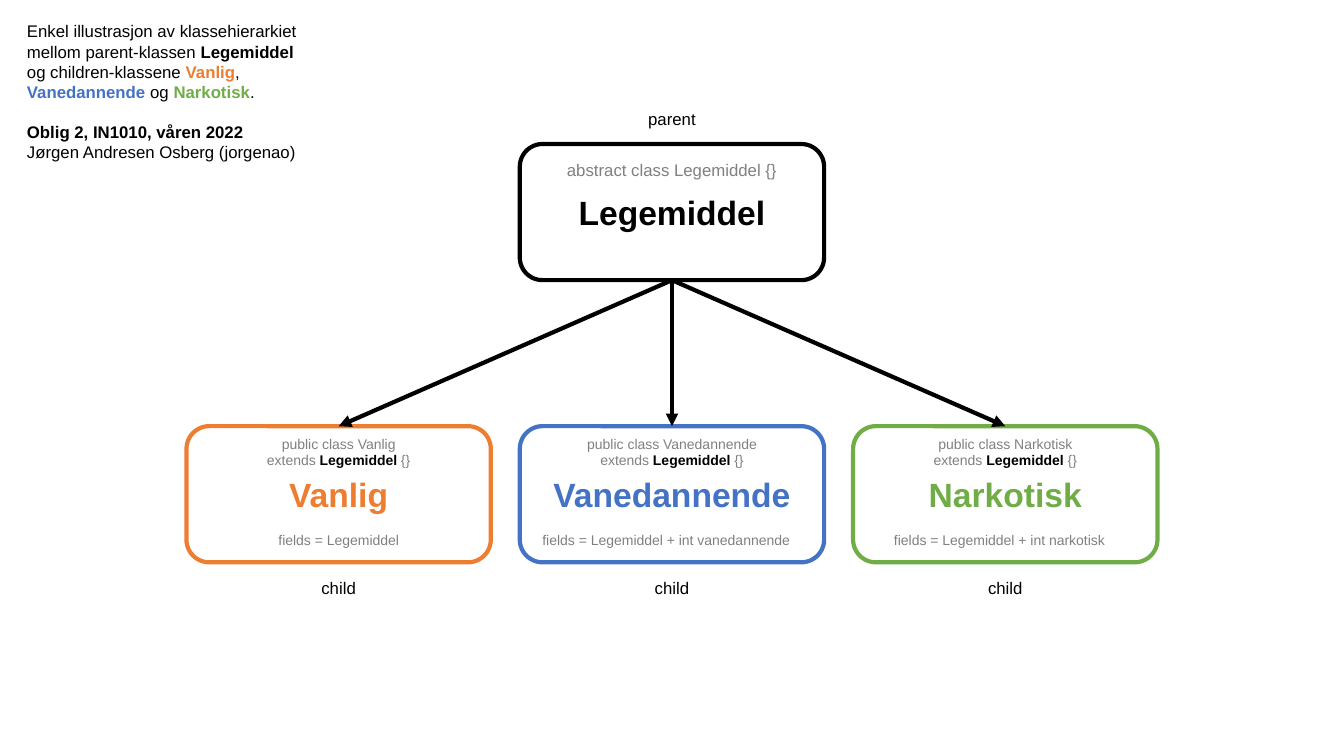
from lxml import etree
from pptx import Presentation
from pptx.dml.color import RGBColor
from pptx.enum.shapes import MSO_CONNECTOR, MSO_SHAPE
from pptx.enum.text import MSO_ANCHOR, MSO_AUTO_SIZE, PP_ALIGN
from pptx.oxml.ns import qn
from pptx.util import Cm, Pt

ROUNDED = MSO_SHAPE.ROUNDED_RECTANGLE
STRAIGHT = MSO_CONNECTOR.STRAIGHT
MIDDLE = MSO_ANCHOR.MIDDLE
GROW = MSO_AUTO_SIZE.SHAPE_TO_FIT_TEXT
LEFT = PP_ALIGN.LEFT
CENTER = PP_ALIGN.CENTER

BLACK, GREY = "000000", "808080"
ORANGE, BLUE, GREEN = "ED7D31", "4472C4", "70AD47"
FONT = "Arial"
TOP, BOTTOM = 0, 2

BOX_WIDTH, BOX_HEIGHT = 7.67, 3.43
FIRST_LEFT, COLUMN_STEP = 4.7, 8.4
PARENT_LEFT = FIRST_LEFT + COLUMN_STEP
PARENT_TOP, CHILD_TOP = 3.63, 10.74
LABEL_WIDTH = 3.07

CHILDREN = [
    ("Vanlig", ORANGE, "fields = Legemiddel", 0),
    ("Vanedannende", BLUE, "fields = Legemiddel + int vanedannende", -0.15),
    ("Narkotisk", GREEN, "fields = Legemiddel + int narkotisk", -0.15),
]

INTRO = [
    [
        ("Enkel illustrasjon av klassehierarkiet mellom parent-klassen ", BLACK, False),
        ("Legemiddel", BLACK, True),
        (" og children-klassene ", BLACK, False),
        ("Vanlig", ORANGE, True),
        (", ", BLACK, False),
        ("Vanedannende", BLUE, True),
        (" og ", BLACK, False),
        ("Narkotisk", GREEN, True),
        (".", BLACK, False),
    ],
    [("Oblig 2, IN1010, våren 2022", BLACK, True)],
    [("Jørgen Andresen Osberg (jorgenao)", BLACK, False)],
]


def color(value):
    return RGBColor.from_string(value)


def write(frame, paragraphs, size, align):
    for index, spans in enumerate(paragraphs):
        para = frame.add_paragraph() if index else frame.paragraphs[0]
        para.alignment = align
        for text, shade, bold in spans:
            span = para.add_run()
            span.text = text
            span.font.name = FONT
            span.font.size = Pt(size)
            span.font.bold = bold
            span.font.color.rgb = color(shade)


def add_text(page, left, top, width, height, paragraphs, size, align=CENTER):
    box = page.shapes.add_textbox(Cm(left), Cm(top), Cm(width), Cm(height))
    frame = box.text_frame
    frame.word_wrap = True
    frame.auto_size = GROW
    write(frame, paragraphs, size, align)
    return box


def add_class_box(page, left, top, name, shade):
    box = page.shapes.add_shape(ROUNDED, Cm(left), Cm(top), Cm(BOX_WIDTH), Cm(BOX_HEIGHT))
    box.shadow.inherit = False
    box.fill.background()
    box.line.color.rgb = color(shade)
    box.line.width = Pt(3)
    box.text_frame.vertical_anchor = MIDDLE
    write(box.text_frame, [[(name, shade, True)]], 24, CENTER)
    return box


def add_label(page, box_left, top, text):
    left = box_left + (BOX_WIDTH - LABEL_WIDTH) / 2
    add_text(page, left, top, LABEL_WIDTH, 0.77, [[(text, BLACK, False)]], 12)


def add_arrow(page, parent, child):
    arrow = page.shapes.add_connector(STRAIGHT, 0, 0, 0, 0)
    arrow.begin_connect(parent, BOTTOM)
    arrow.end_connect(child, TOP)
    arrow.line.color.rgb = color(BLACK)
    arrow.line.width = Pt(3)
    etree.SubElement(arrow.line._get_or_add_ln(), qn("a:tailEnd"), type="triangle")
    etree.SubElement(arrow._element.spPr, qn("a:effectLst"))


def add_child(page, left, name, shade, fields, fields_shift):
    box = add_class_box(page, left, CHILD_TOP, name, shade)
    declaration = [
        [(f"public class {name}", GREY, False)],
        [("extends ", GREY, False), ("Legemiddel", BLACK, True), (" {}", GREY, False)],
    ]
    add_text(page, left, CHILD_TOP + 0.1, BOX_WIDTH, 1.12, declaration, 10)
    add_text(page, left + fields_shift, CHILD_TOP + 2.54, BOX_WIDTH, 0.68,
             [[(fields, GREY, False)]], 10)
    add_label(page, left, 14.43, "child")
    return box


def main():
    deck = Presentation()
    deck.slide_width, deck.slide_height = Cm(33.87), Cm(19.05)
    page = deck.slides.add_slide(deck.slide_layouts[6])

    intro = add_text(page, 0.43, 0.41, 7.32, 3.84, INTRO, 12, LEFT)
    intro.text_frame.paragraphs[1].space_before = Pt(14)

    parent = add_class_box(page, PARENT_LEFT, PARENT_TOP, "Legemiddel", BLACK)
    add_text(page, PARENT_LEFT + 0.76, 3.91, 6.15, 0.77,
             [[("abstract class Legemiddel {}", GREY, False)]], 12)
    add_label(page, PARENT_LEFT, 2.62, "parent")

    for column, details in enumerate(CHILDREN):
        child = add_child(page, FIRST_LEFT + column * COLUMN_STEP, *details)
        add_arrow(page, parent, child)

    deck.save("out.pptx")


if __name__ == "__main__":
    main()
